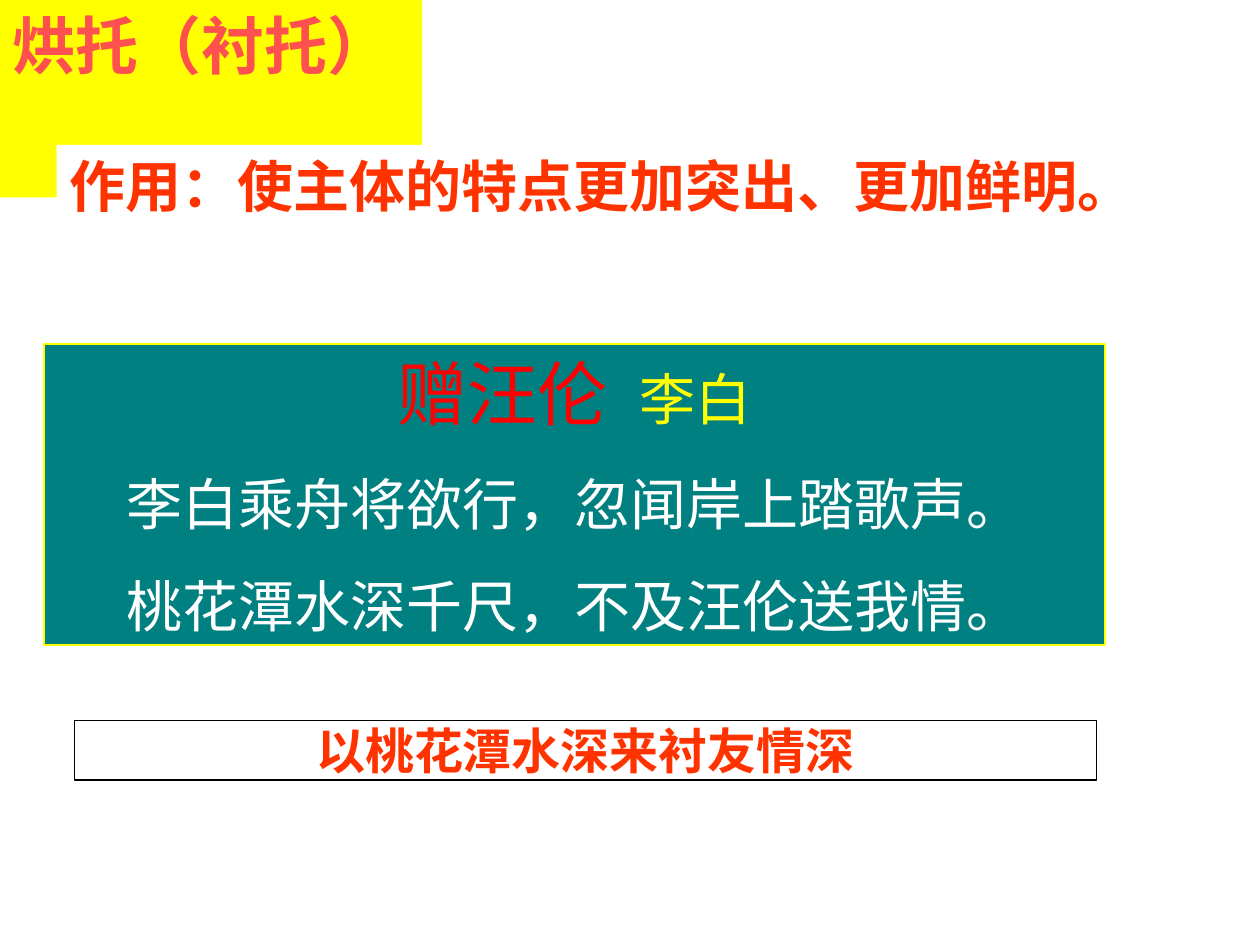
import lxml.etree
import pptx
import pptx.dml.color
import pptx.enum.shapes
import pptx.enum.text
import pptx.oxml.ns
import pptx.util

Inches = pptx.util.Inches
Pt = pptx.util.Pt
ALIGN = pptx.enum.text.PP_ALIGN
ANCHOR = pptx.enum.text.MSO_ANCHOR
FIT = pptx.enum.text.MSO_AUTO_SIZE

COLORS = {
    "yellow": "FFFF00",
    "coral": "FF5050",
    "teal": "008080",
    "red": "FF0000",
    "orange": "FF3300",
    "white": "FFFFFF",
    "black": "000000",
}
SANS = "Noto Sans CJK SC"
SERIF = "Times New Roman"


class LessonSlide:
    def __init__(self, slide):
        self.slide = slide

    def color(self, name):
        return pptx.dml.color.RGBColor.from_string(COLORS[name])

    def style_run(self, run, size, color, bold=False, font=SANS):
        run.font.name = font
        run.font.size = Pt(size)
        run.font.bold = bold
        run.font.color.rgb = self.color(color)
        east_asian = lxml.etree.Element(pptx.oxml.ns.qn("a:ea"), typeface=SANS)
        run.font._element.find(pptx.oxml.ns.qn("a:latin")).addnext(east_asian)

    def set_frame(self, frame, anchor, wrap, fit):
        frame.word_wrap = wrap
        frame.auto_size = fit
        frame.vertical_anchor = anchor

    def add_title(self, text, box, fill, size, color):
        title = self.slide.shapes.title
        title.left, title.top, title.width, title.height = map(Inches, box)
        title.fill.solid()
        title.fill.fore_color.rgb = self.color(fill)
        title.text_frame.text = text
        self.set_frame(title.text_frame, ANCHOR.TOP, True, FIT.SHAPE_TO_FIT_TEXT)
        heading = title.text_frame.paragraphs[0]
        heading.alignment = ALIGN.LEFT
        self.style_run(heading.runs[0], size, color, bold=True)

    def add_panel(self, lines, box, fill, line=None, align=ALIGN.CENTER, space=0,
                  anchor=ANCHOR.TOP, wrap=True, fit=FIT.SHAPE_TO_FIT_TEXT):
        panel = self.slide.shapes.add_shape(
            pptx.enum.shapes.MSO_SHAPE.RECTANGLE, *map(Inches, box))
        panel.shadow.inherit = False
        panel.fill.solid()
        panel.fill.fore_color.rgb = self.color(fill)
        if line:
            panel.line.color.rgb = self.color(line)
            panel.line.width = Pt(0.75)
        else:
            panel.line.fill.background()
        frame = panel.text_frame
        self.set_frame(frame, anchor, wrap, fit)
        frame.text = "\n".join(parts[0][0] for parts in lines)
        for paragraph, parts in zip(frame.paragraphs, lines):
            paragraph.alignment = align
            paragraph.space_before = Pt(space)
            for text, *_ in parts[1:]:
                paragraph.add_run().text = text
            for run, (_, *style) in zip(paragraph.runs, parts):
                self.style_run(run, *style)


def main():
    deck = pptx.Presentation()
    deck.slide_width, deck.slide_height = Inches(10), Inches(7.5)
    lesson = LessonSlide(deck.slides.add_slide(deck.slide_layouts[5]))

    lesson.add_title("烘托（衬托）", (0, 0, 3.35, 0.7), "yellow", 36, "coral")

    poem = [
        [("赠汪伦  ", 40, "red"), ("李白", 32, "yellow")],
        [("李白乘舟将欲行，忽闻岸上踏歌声。", 32, "white")],
        [("桃花潭水深千尺，不及汪伦送我情。", 32, "white")],
    ]
    lesson.add_panel(poem, (0.35, 2.73, 8.42, 2.39), "teal", "yellow", space=20)

    conclusion = [[("以桃花潭水深来衬友情深", 28, "orange", True, SERIF)]]
    lesson.add_panel(conclusion, (0.59, 5.72, 8.11, 0.47), "white", "black",
                     anchor=ANCHOR.MIDDLE, wrap=False, fit=FIT.NONE)

    effect = [[("作用：使主体的特点更加突出、更加鲜明。", 32, "orange", True)]]
    lesson.add_panel(effect, (0.45, 1.15, 8.88, 0.64), "white",
                     align=ALIGN.LEFT, wrap=False)

    deck.save("out.pptx")


if __name__ == "__main__":
    main()
